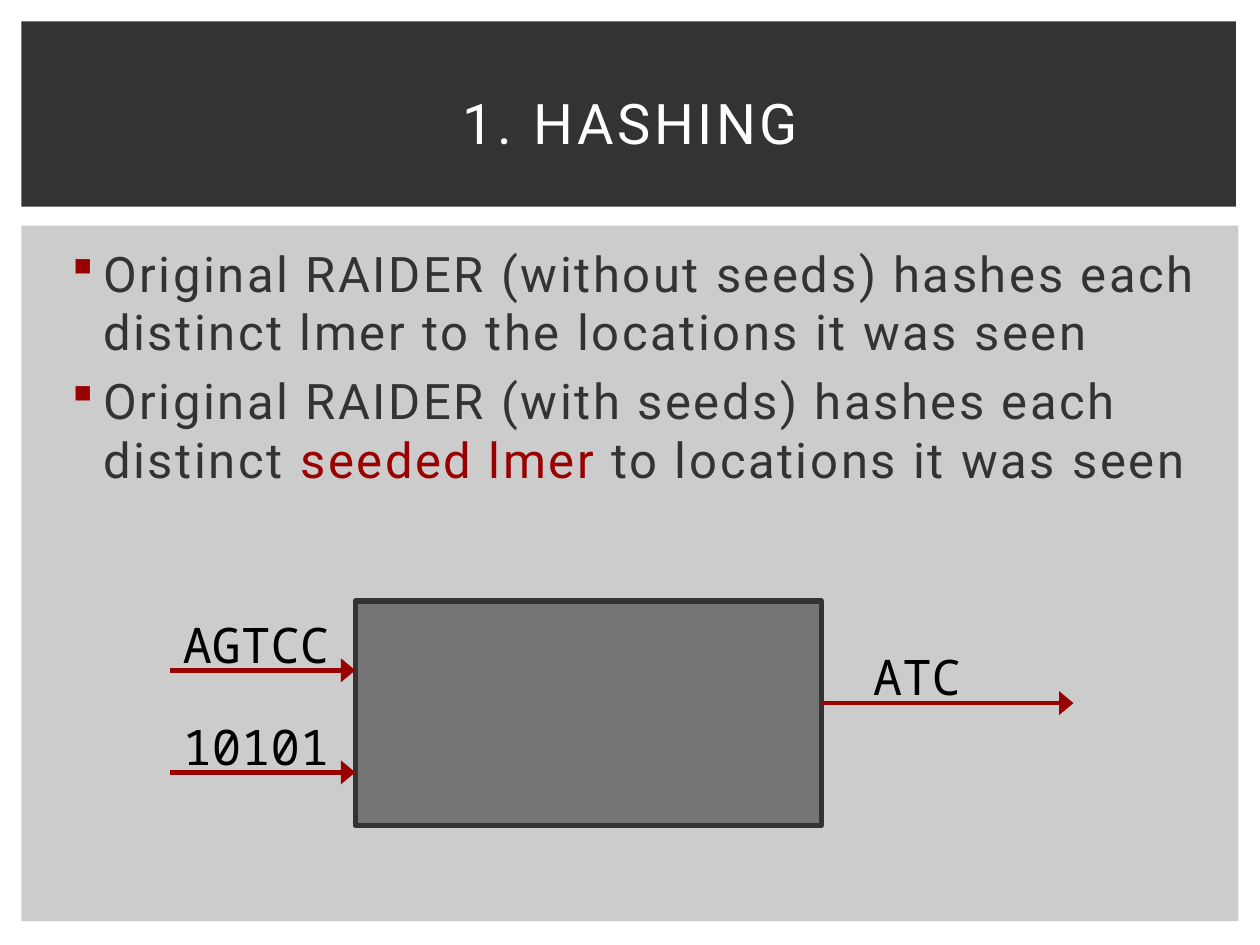
"""Build the hashing slide: title band, two bullets and a seed-masking diagram."""
from lxml.etree import SubElement
from pptx import Presentation
from pptx.dml.color import RGBColor
from pptx.enum.shapes import MSO_CONNECTOR as Connector, MSO_SHAPE as Shape
from pptx.enum.text import MSO_ANCHOR as Anchor, PP_ALIGN as Align
from pptx.oxml.ns import qn
from pptx.util import Inches, Pt

COLORS = {"paper": "CCCCCC", "dark": "333333", "red": "990000",
          "gray": "666666", "white": "FFFFFF", "black": "000000"}
TITLE = "1. HASHING"
BULLETS = [
    [("Original RAIDER (without seeds) hashes each distinct lmer "
      "to the locations it was seen", "dark")],
    [("Original RAIDER (with seeds) hashes each distinct ", "dark"),
     ("seeded lmer", "red"),
     (" to locations it was seen", "dark")],
]
BANDS = [((0.17, 1.79, 9.66, 5.52), "paper"), ((0.17, 0.17, 9.64, 1.47), "dark")]
MACHINE = (2.82, 4.77, 3.7, 1.78)
MACHINE_RIGHT = MACHINE[0] + MACHINE[2]
ARROWS = [(1.35, MACHINE[0], 5.32), (1.35, MACHINE[0], 6.13),
          (MACHINE_RIGHT, MACHINE_RIGHT + 2, 5.58)]
LABELS = [("AGTCC", 1.35, 4.83), ("10101", 1.35, 5.64), ("ATC", 6.83, 5.08)]
LABEL_SIZE = (1.48, 0.57)


def rgb(name):
    return RGBColor.from_string(COLORS[name])


def inches(values):
    return [Inches(value) for value in values]


def add_rectangle(slide, place, color):
    box = slide.shapes.add_shape(Shape.RECTANGLE, *inches(place))
    box.shadow.inherit = False
    box.fill.solid()
    box.fill.fore_color.rgb = rgb(color)
    box.line.fill.background()
    return box


def add_text_frame(slide, place):
    frame = slide.shapes.add_textbox(*inches(place)).text_frame
    frame.word_wrap = True
    return frame


def style_run(span, face, size, color, spacing=0):
    span.font.name = face
    span.font.size = Pt(size)
    span.font.color.rgb = rgb(color)
    if spacing:
        span.font._element.set("spc", str(int(spacing * 100)))


def add_bullet(para):
    properties = para._p.get_or_add_pPr()
    properties.set("marL", str(Inches(0.3)))
    properties.set("indent", str(Inches(-0.25)))
    tint = SubElement(properties, qn("a:buClr"))
    SubElement(tint, qn("a:srgbClr"), val=COLORS["red"])
    SubElement(properties, qn("a:buFont"), typeface="Wingdings", charset="2")
    SubElement(properties, qn("a:buChar"), char="§")


def add_title(slide):
    frame = add_text_frame(slide, (0.42, 0.39, 9.17, 1.15))
    frame.vertical_anchor = Anchor.MIDDLE
    frame.text = TITLE
    para = frame.paragraphs[0]
    para.alignment = Align.CENTER
    style_run(para.runs[0], "Roboto", 32, "white", 2)


def add_bullets(slide):
    frame = add_text_frame(slide, (0.42, 1.88, 9.19, 4.82))
    for index, pieces in enumerate(BULLETS):
        para = frame.add_paragraph() if index else frame.paragraphs[0]
        add_bullet(para)
        if index:
            para.space_before = Pt(5.6)
        for words, color in pieces:
            span = para.add_run()
            span.text = words
            style_run(span, "Roboto", 28, color, 1.5)


def add_arrow(slide, start, end, height):
    arrow = slide.shapes.add_connector(
        Connector.STRAIGHT, *inches((start, height, end, height)))
    arrow.line.color.rgb = rgb("red")
    arrow.line.width = Pt(2.75)
    SubElement(arrow.line._get_or_add_ln(), qn("a:tailEnd"), type="triangle", w="lg")
    SubElement(arrow._element.spPr, qn("a:effectLst"))


def add_machine(slide):
    box = add_rectangle(slide, MACHINE, "gray")
    tint = box.fill._xPr.find(qn("a:solidFill"))[0]
    SubElement(tint, qn("a:alpha"), val="85000")
    box.line.color.rgb = rgb("dark")
    box.line.width = Pt(3)


def add_label(slide, words, left, top):
    frame = add_text_frame(slide, (left, top, *LABEL_SIZE))
    frame.text = words
    style_run(frame.paragraphs[0].runs[0], "Noto Sans Mono", 28, "black")


def main():
    deck = Presentation()
    deck.slide_width, deck.slide_height = inches((10, 7.5))
    slide = deck.slides.add_slide(deck.slide_layouts[6])
    for place, color in BANDS:
        add_rectangle(slide, place, color)
    add_bullets(slide)
    add_title(slide)
    add_machine(slide)
    for arrow in ARROWS:
        add_arrow(slide, *arrow)
    for label in LABELS:
        add_label(slide, *label)
    deck.save("out.pptx")


if __name__ == "__main__":
    main()
